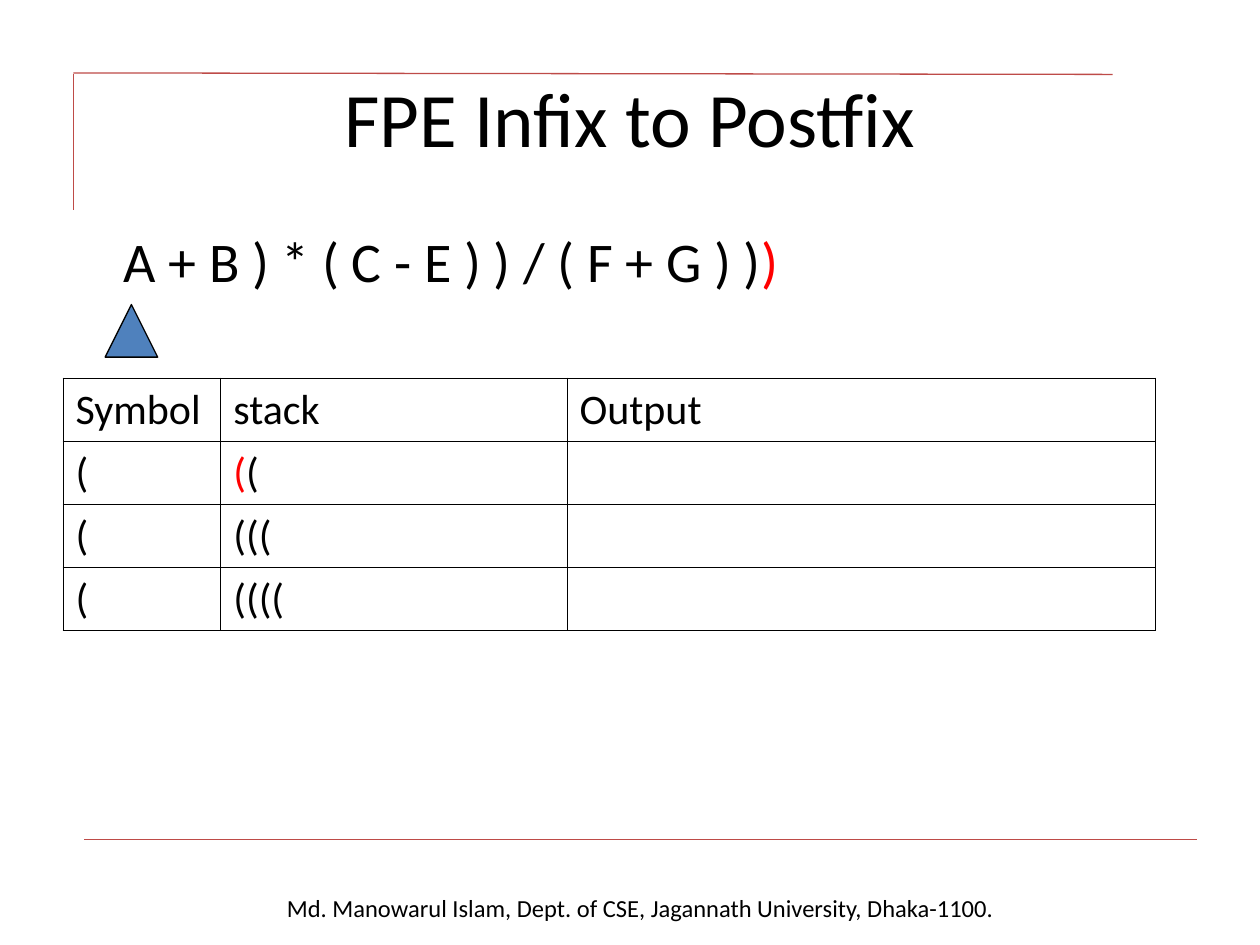
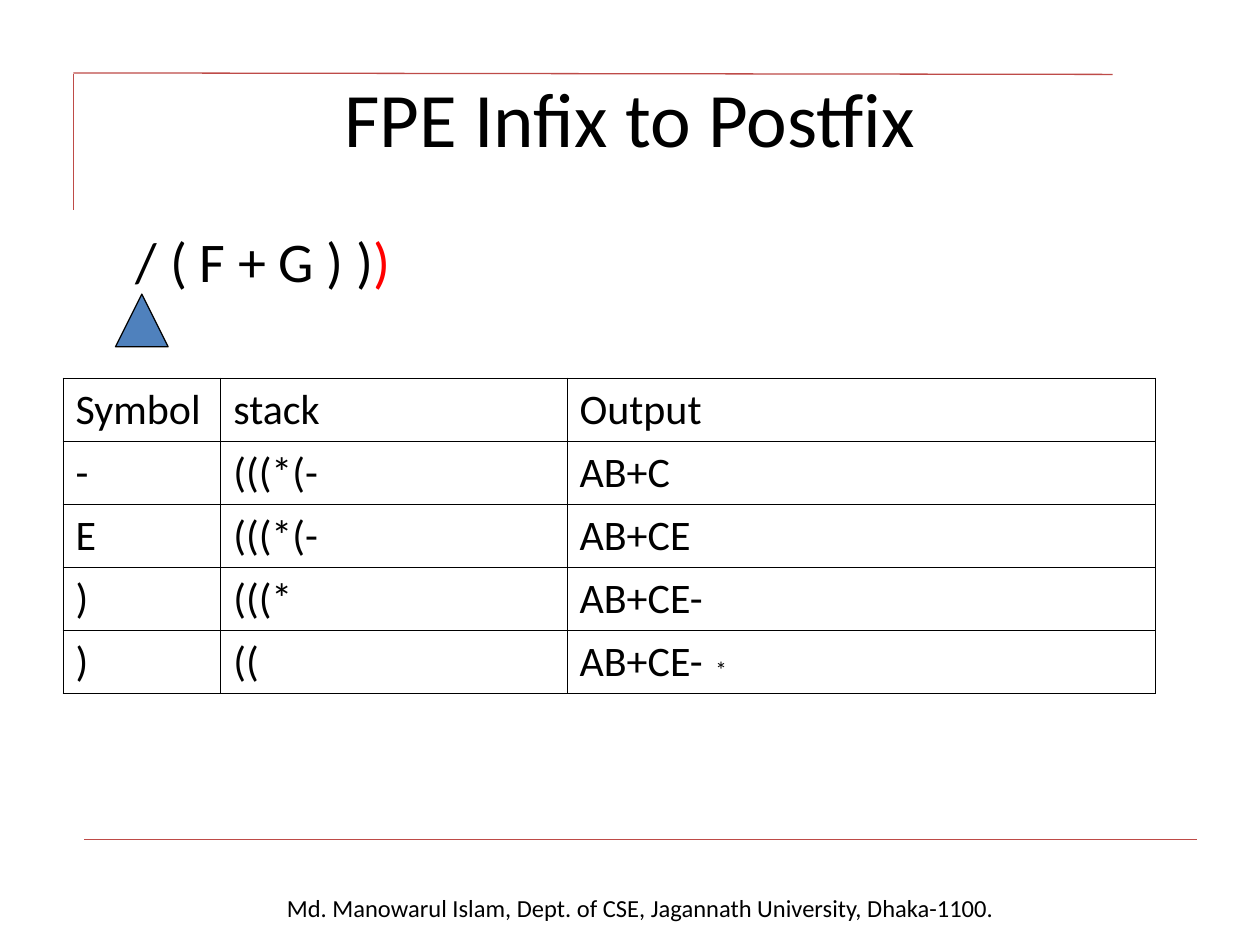
from lxml import etree
from pptx import Presentation
from pptx.dml.color import RGBColor
from pptx.enum import shapes, text
from pptx.oxml import parse_xml
from pptx.oxml import ns
from pptx.util import Cm, Pt

BLACK, RED, WHITE = "000000", "FF0000", "FFFFFF"
RULE, MARKER = "BE4B48", "4F81BD"
FONT = "Calibri"
TITLE = "FPE Infix to Postfix"
FOOTER = "Md. Manowarul Islam, Dept. of CSE, Jagannath University, Dhaka-1100."
HEADER = ["Symbol", "stack", "Output"]
COLUMN_WIDTHS = [3.18, 6.98, 11.86]
ROW_HEIGHT = 1.27
# Ends of the red rules: x1, y1, x2, y2
RULES = [(1.48, 1.5, 1.48, 4.24), (1.48, 1.47, 22.43, 1.5), (1.7, 16.93, 24.13, 16.93)]


def color(value):
    return RGBColor.from_string(value)


def write(frame, content, red="", red_first=False, size=24, align=None,
          anchor=text.MSO_ANCHOR.TOP, spacing=None):
    """Fill a text frame with black text and an optional red part before or after it."""
    frame.word_wrap = True
    frame.vertical_anchor = anchor
    para = frame.paragraphs[0]
    para.alignment = align
    para.line_spacing = spacing
    parts = [(content, BLACK), (red, RED)]
    for words, tint in reversed(parts) if red_first else parts:
        if words:
            span = para.add_run()
            span.text = words
            span.font.name = FONT
            span.font.size = Pt(size)
            span.font.color.rgb = color(tint)


# Per slide: unread expression and its left margin, marker position, table rows
steps = [
    {"rest": "A + B ) * ( C - E ) ) / ( F + G ) )", "margin": 1.22,
     "marker": (2.12, 6.14),
     "rows": [["(", "(", ""], ["(", "(((", ""], ["(", "((((", ""]],
     "red_cell": (1, 1)},
    {"rest": "/ ( F + G ) )", "margin": 1.47,
     "marker": (2.33, 5.93),
     "rows": [["-", "(((*(-", "AB+C"], ["E", "(((*(-", "AB+CE"],
              [")", "(((*", "AB+CE-"], [")", "((", "AB+CE-"]],
     "red_cell": None},
]

deck = Presentation()
deck.slide_width, deck.slide_height = Cm(25.4), Cm(19.05)

for step in steps:
    page = deck.slides.add_slide(deck.slide_layouts[5])

    # Footer and red rules
    box = page.shapes.add_textbox(Cm(0.95), Cm(17.88), Cm(23.92), Cm(0.86))
    write(box.text_frame, FOOTER, size=14, align=text.PP_ALIGN.CENTER)
    for ends in RULES:
        rule = page.shapes.add_connector(shapes.MSO_CONNECTOR.STRAIGHT, *map(Cm, ends))
        rule.line.color.rgb = color(RULE)
        rule.line.width = Pt(0.75)
        etree.SubElement(rule._element.spPr, ns.qn("a:effectLst"))

    # Title
    title = page.shapes.title
    title.left, title.top, title.width, title.height = map(Cm, (1.27, 0.76, 22.86, 3.18))
    write(title.text_frame, TITLE, size=44, align=text.PP_ALIGN.CENTER,
          anchor=text.MSO_ANCHOR.MIDDLE)

    # Expression still to be read
    box = page.shapes.add_textbox(Cm(1.27), Cm(4.45), Cm(22.86), Cm(12.57))
    box.text_frame.margin_left = Cm(step["margin"])
    write(box.text_frame, step["rest"], red=")", size=32)

    # Reading position
    left, top = step["marker"]
    marker = page.shapes.add_shape(shapes.MSO_SHAPE.ISOSCELES_TRIANGLE,
                                   Cm(left), Cm(top), Cm(1.06), Cm(1.06))
    marker.shadow.inherit = False
    marker.fill.solid()
    marker.fill.fore_color.rgb = color(MARKER)
    marker.line.color.rgb = color(BLACK)
    marker.line.width = Pt(0.75)

    # Table of symbol, stack and output
    rows = [HEADER] + step["rows"]
    table = page.shapes.add_table(len(rows), len(HEADER), Cm(1.27), Cm(7.62),
                                  Cm(sum(COLUMN_WIDTHS)), Cm(ROW_HEIGHT * len(rows))).table
    table.first_row = table.horz_banding = False
    for column, width in zip(table.columns, COLUMN_WIDTHS):
        column.width = Cm(width)
    for r, row in enumerate(rows):
        table.rows[r].height = Cm(ROW_HEIGHT)
        for c, content in enumerate(row):
            cell = table.cell(r, c)
            red = "(" if (r, c) == step["red_cell"] else ""
            write(cell.text_frame, content, red=red, red_first=True)
            for side in ("lnL", "lnR", "lnT", "lnB"):
                cell._tc.get_or_add_tcPr().append(parse_xml(
                    f'<a:{side} {ns.nsdecls("a")} w="{Pt(0.45)}"><a:solidFill>'
                    f'<a:srgbClr val="{BLACK}"/></a:solidFill></a:{side}>'))
            cell.fill.background()

# Operator appended to the last output
operator = page.shapes.add_shape(shapes.MSO_SHAPE.RECTANGLE,
                                 Cm(14.17), Cm(13.13), Cm(0.64), Cm(0.84))
operator.shadow.inherit = False
operator.fill.solid()
operator.fill.fore_color.rgb = color(WHITE)
operator.line.fill.background()
write(operator.text_frame, "*", size=13.2, align=text.PP_ALIGN.CENTER,
      anchor=text.MSO_ANCHOR.MIDDLE, spacing=0.8)

deck.save("out.pptx")
